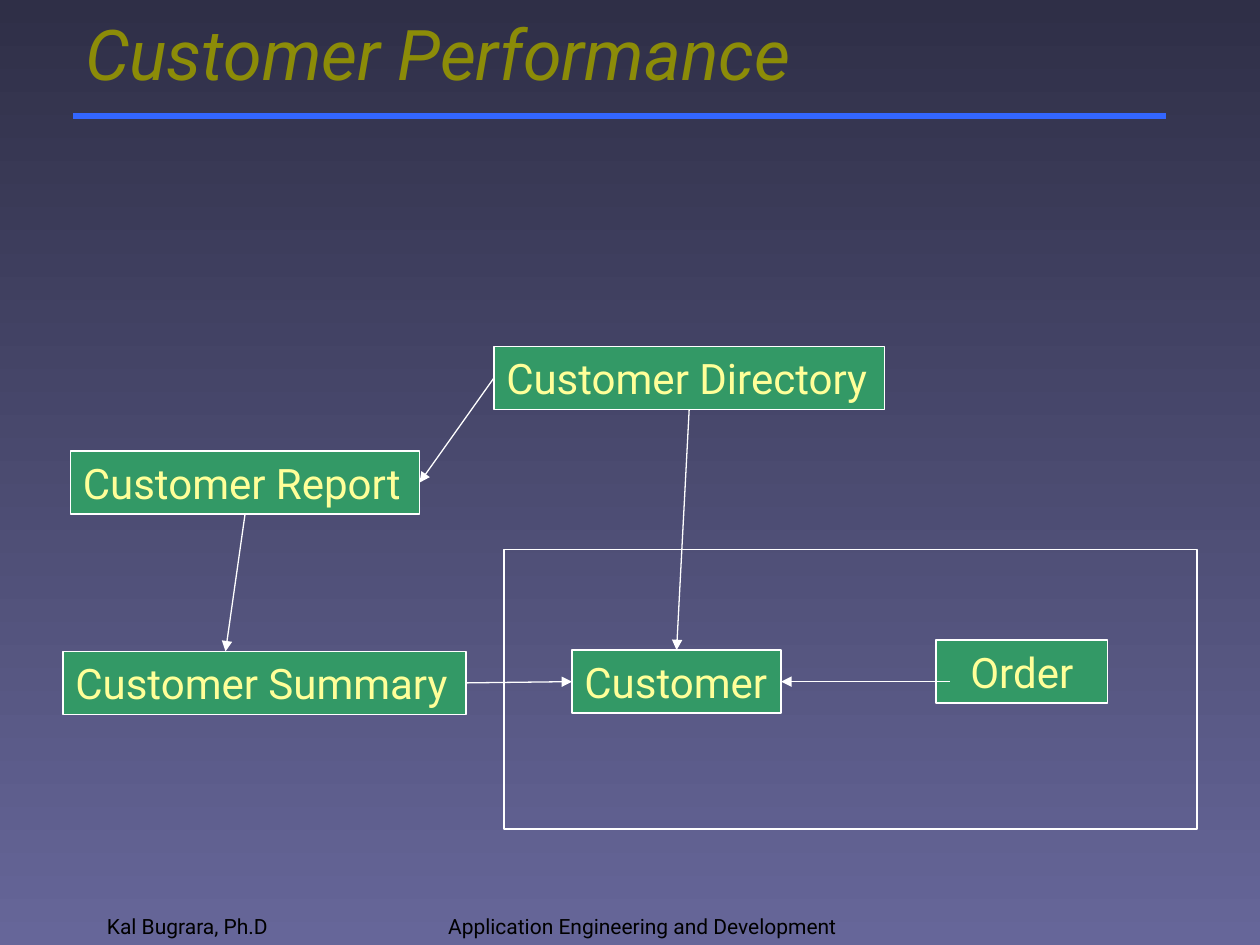
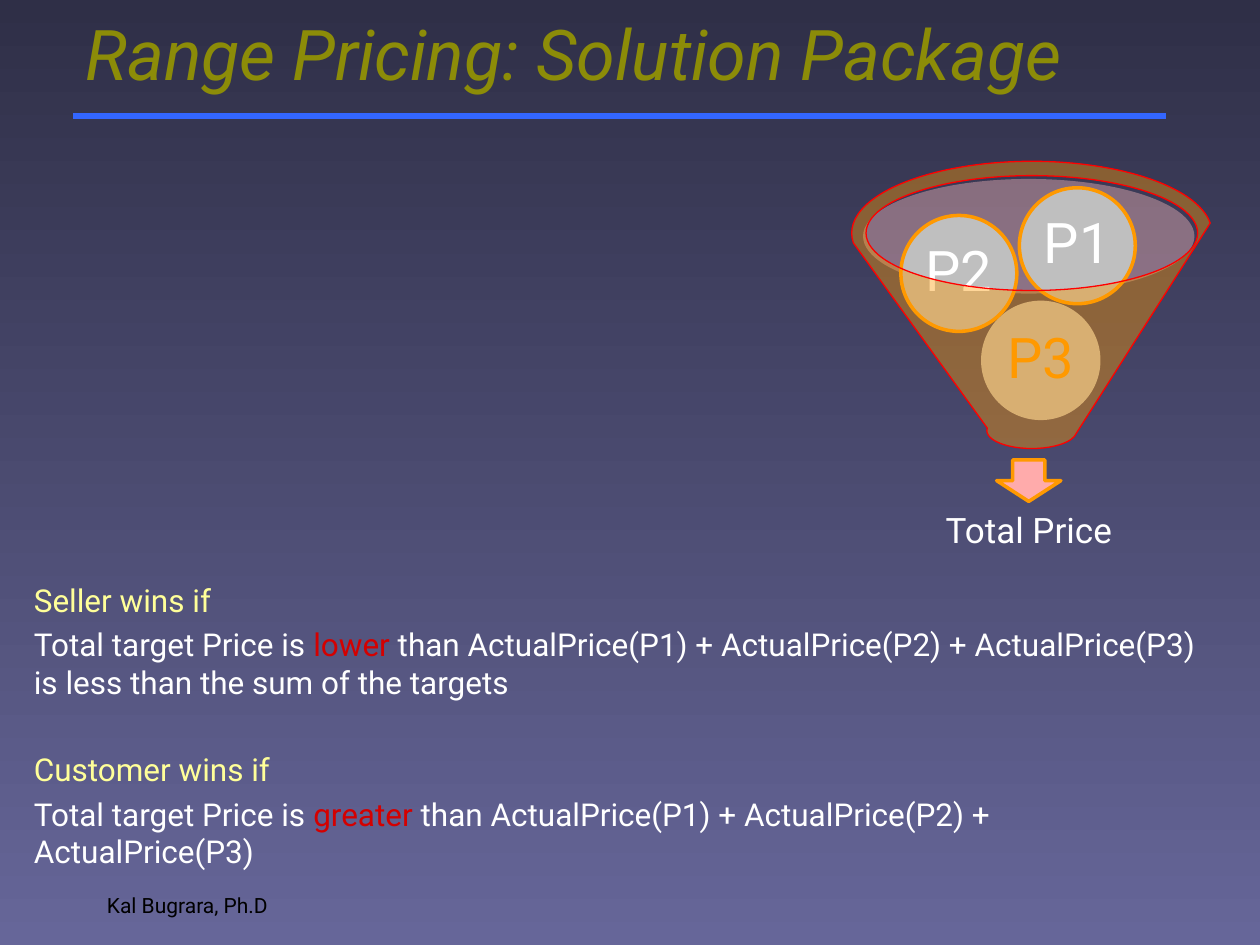
from lxml import etree
from pptx import Presentation
from pptx.dml.color import RGBColor
from pptx.enum import shapes, text
from pptx.oxml import ns
from pptx.util import Inches, Pt

COLORS = {
    "sky": "2F2F47", "ground": "666699", "rule": "3366FF", "title": "8C8C08",
    "footer": "000000", "class": "339966", "label": "FFFF99", "white": "FFFFFF",
    "orange": "FF9900", "rim": "FF0000", "mouth": "FFBDBD", "arrow": "FFABAB",
    "ball": "BFBFBF", "verdict": "D40000",
}
FONT = "Roboto"
SHAPE = shapes.MSO_SHAPE
ALIGN = text.PP_ALIGN
ANCHOR = text.MSO_ANCHOR
TOP, LEFT, BOTTOM, RIGHT = range(4)


def rgb(name):
    return RGBColor.from_string(COLORS[name])


def set_all(target, values):
    for key, value in values.items():
        setattr(target, key, value)


def within(box, left, top, width, height):
    """Place an area relative to the top left corner of a box."""
    return box[0] + left, box[1] + top, width, height


# Text, shapes and lines
def write(frame, paragraphs, size, italic=False, frame_format=None, **paragraph_format):
    """Each paragraph is a list of (words, colour) runs."""
    set_all(frame, {"word_wrap": True, "vertical_anchor": ANCHOR.MIDDLE, **(frame_format or {})})
    for number, runs in enumerate(paragraphs):
        paragraph = frame.add_paragraph() if number else frame.paragraphs[0]
        set_all(paragraph, {"alignment": ALIGN.LEFT, **paragraph_format})
        for words, color in runs:
            run = paragraph.add_run()
            run.text = words
            set_all(run.font, {"name": FONT, "size": Pt(size), "italic": italic})
            run.font.color.rgb = rgb(color)


def add_text(slide, area, paragraphs, size, **formats):
    frame = slide.shapes.add_textbox(*map(Inches, area)).text_frame
    write(frame, paragraphs, size, **formats)
    return frame


def add_shape(slide, preset, area, fill=None, line=None, weight=0.75, alpha=None):
    shape = slide.shapes.add_shape(preset, *map(Inches, area))
    shape.shadow.inherit = False
    if fill:
        shape.fill.solid()
        shape.fill.fore_color.rgb = rgb(fill)
    else:
        shape.fill.background()
    if alpha:
        color = shape._element.spPr.find(ns.qn("a:solidFill"))[0]
        etree.SubElement(color, ns.qn("a:alpha"), val=str(alpha * 1000))
    if line:
        shape.line.color.rgb = rgb(line)
        shape.line.width = Pt(weight)
    else:
        shape.line.fill.background()
    return shape


def add_line(slide, start, end, color, weight, arrow=False):
    line = slide.shapes.add_connector(
        shapes.MSO_CONNECTOR.STRAIGHT, *map(Inches, (*start, *end)))
    line.line.color.rgb = rgb(color)
    line.line.width = Pt(weight)
    if arrow:
        etree.SubElement(line.line._get_or_add_ln(), ns.qn("a:tailEnd"), type="triangle")
    etree.SubElement(line._element.spPr, ns.qn("a:effectLst"))
    return line


# Background, title, rule and author, the same on every slide
def add_base(prs, title, footer_top):
    slide = prs.slides.add_slide(prs.slide_layouts[6])
    fill = slide.background.fill
    fill.gradient()
    fill.gradient_angle = 270
    for stop, color, position in zip(fill.gradient_stops, ("sky", "ground"), (0, 1)):
        stop.color.rgb = rgb(color)
        stop.position = position
    add_line(slide, (0.58, 0.92), (9.25, 0.92), "rule", 3)
    add_text(slide, (0.58, 0, 8.67, 0.83), [[(title, "title")]], 40, italic=True)
    add_footer(slide, (0.75, footer_top, 2.08, 0.5), "Kal Bugrara, Ph.D")
    return slide


def add_footer(slide, area, words, alignment=ALIGN.LEFT, margin_right=0.1):
    add_text(slide, area, [[(words, "footer")]], 12, alignment=alignment,
             frame_format={"vertical_anchor": ANCHOR.BOTTOM,
                           "margin_right": Inches(margin_right)})


# Class diagram: boxes, arrows between them, and a frame around the orders
def add_class_diagram(slide, box):
    places = {
        "Customer Directory": (3.42, 0, 3.1),
        "Customer Report": (0.06, 0.83, 2.77),
        "Customer Summary": (0, 2.42, 3.2),
        "Customer": (4.04, 2.41, 1.66),
        "Order": (6.93, 2.33, 1.36),
    }
    classes = {}
    for name, place in places.items():
        shape = add_shape(slide, SHAPE.RECTANGLE, within(box, *place, 0.5), "class", "white")
        centred = name == "Order"
        write(shape.text_frame, [[(name, "label")]], 24,
              frame_format={"word_wrap": centred},
              alignment=ALIGN.CENTER if centred else ALIGN.LEFT)
        classes[name] = shape

    # An end is either a class and its side, or a free point in the box
    links = [
        (("Customer Directory", BOTTOM), ("Customer", TOP)),
        ((7.04, 2.66), ("Customer", RIGHT)),
        (("Customer Report", BOTTOM), (1.29, 2.42)),
        (("Customer Summary", RIGHT), ("Customer", LEFT)),
        (("Customer Directory", LEFT), ("Customer Report", RIGHT)),
    ]
    for link in links:
        points = [box[:2] if end[0] in classes else within(box, *end, 0, 0)[:2] for end in link]
        arrow = add_line(slide, *points, "white", 0.75, arrow=True)
        for connect, (name, side) in zip((arrow.begin_connect, arrow.end_connect), link):
            if name in classes:
                connect(classes[name], side)
    add_shape(slide, SHAPE.RECTANGLE, within(box, 3.5, 1.61, 5.5, 2.22), line="white")


# Funnel: three prices go in, the total price comes out
def add_price_funnel(slide, box):
    add_shape(slide, SHAPE.OVAL, within(box, 0.09, 0.14, 2.63, 0.91), "mouth", alpha=40)
    add_shape(slide, SHAPE.DOWN_ARROW, within(box, 1.15, 2.37, 0.51, 0.33), "arrow", "orange", 2)
    add_text(slide, within(box, 0.18, 2.64, 2.45, 0.61), [[("Total Price", "white")]], 20,
             alignment=ALIGN.CENTER, line_spacing=0.9)
    sides = ("left", "top", "right", "bottom")
    margins = {f"margin_{side}": Inches(0.04) for side in sides}
    balls = [
        ("P3", 1.04, 1.12, "ball", "orange"),
        ("P2", 0.39, 0.43, "orange", "white"),
        ("P1", 1.33, 0.21, "orange", "white"),
    ]
    for price, left, top, outline, color in balls:
        ball = add_shape(slide, SHAPE.OVAL, within(box, left, top, 0.92, 0.92),
                         "ball", outline, 2)
        write(ball.text_frame, [[(price, color)]], 32, frame_format=margins,
              alignment=ALIGN.CENTER, line_spacing=0.9)
    add_shape(slide, SHAPE.FUNNEL, within(box, 0, 0, 2.86, 2.28), "orange", "rim", alpha=40)


# Who wins, and when
def add_verdicts(slide, box):
    total = "Total target Price is "
    prices = " than " + " + ".join(f"ActualPrice(P{n})" for n in (1, 2, 3))
    verdicts = [
        ("Seller", "lower", prices + " is less than the sum of the targets"),
        ("Customer", "greater", prices),
    ]
    paragraphs = []
    for winner, comparison, rest in verdicts:
        paragraphs.append([(f"{winner} wins if", "label")])
        paragraphs.append([(total, "white"), (comparison, "verdict"), (rest, "white")])
    frame = add_text(slide, box, paragraphs, 18, space_before=Pt(3.6),
                     frame_format={"vertical_anchor": ANCHOR.TOP})
    frame.paragraphs[2].space_before = Pt(28.6)


def main():
    prs = Presentation()
    set_all(prs, {"slide_width": Inches(10), "slide_height": Inches(7.5)})

    performance = add_base(prs, "Customer Performance", 7)
    add_footer(performance, (3.17, 7, 6, 0.5), "Application Engineering and Development",
               ALIGN.CENTER, margin_right=2.24)
    add_class_diagram(performance, (0.5, 2.75, 9, 3.83))

    pricing = add_base(prs, "Range Pricing: Solution Package", 6.83)
    add_price_funnel(pricing, (6.76, 1.28, 2.86, 3.25))
    add_verdicts(pricing, (0.17, 4.56, 9.58, 3.61))

    prs.save("out.pptx")


if __name__ == "__main__":
    main()
